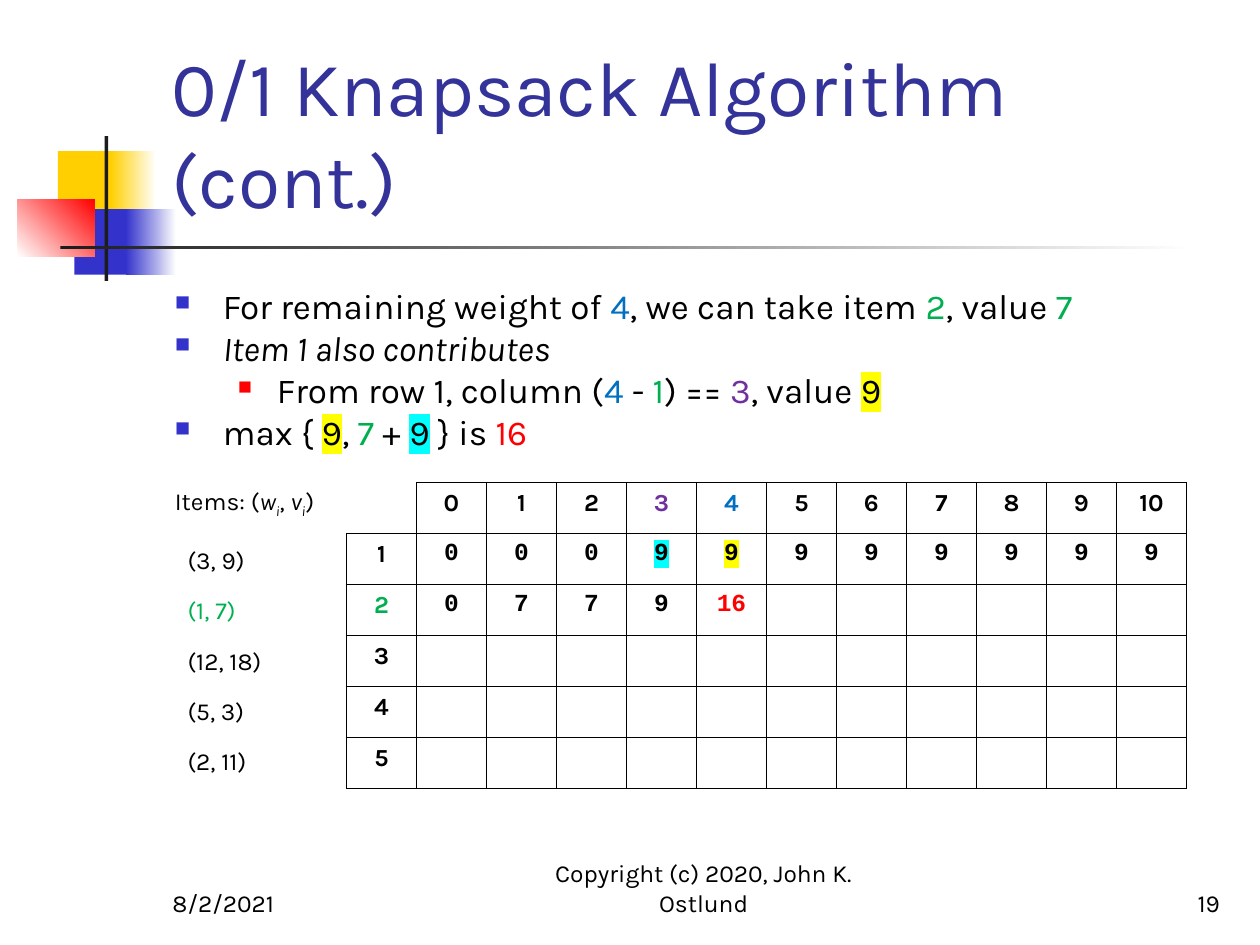
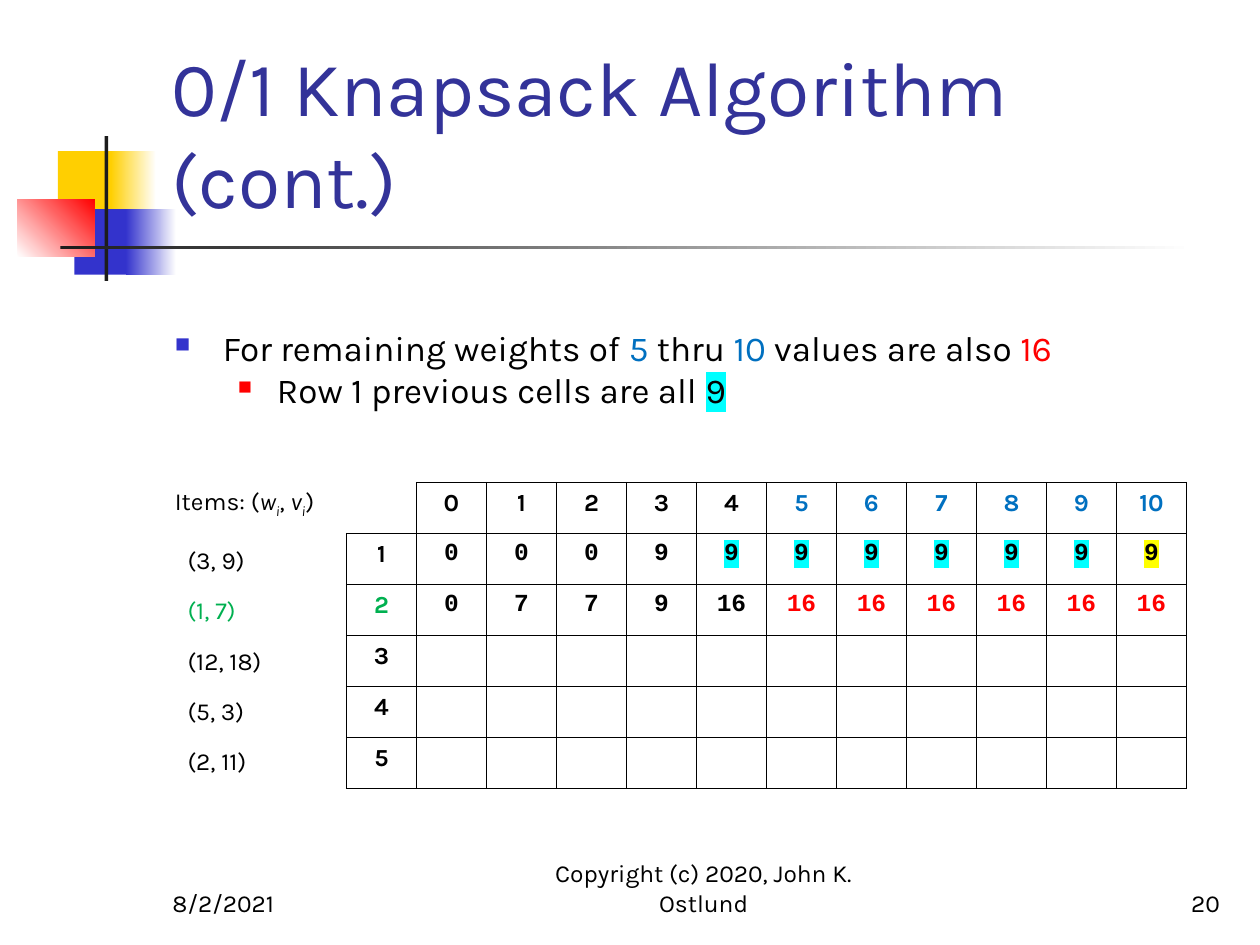
from lxml import etree
from pptx import Presentation
from pptx import util as u
from pptx.dml.color import RGBColor
from pptx.enum import shapes, text
from pptx.oxml import ns

FONT, CODE_FONT = "Karla", "Courier New"
BLACK, WHITE, CHARCOAL = "000000", "FFFFFF", "1C1C1C"
GOLD, INDIGO, RED, TITLE_BLUE = "FFCF01", "3333CC", "FF0000", "333399"
STYLES = {
    "blue": {"color": "0070C0"},
    "green": {"color": "00B050"},
    "purple": {"color": "7030A0"},
    "red": {"color": RED},
    "italic": {"italic": True},
    "sub": {"italic": True, "baseline": -25},
    "yellow": {"mark": "FFFF00"},
    "cyan": {"mark": "00FFFF"},
}
# Bullet levels: left margin and hang in inches, colour, size in percent
BULLETS = [(0.38, 0.38, INDIGO, 60), (0.81, 0.31, RED, 55)]
ITEMS = ["(3, 9)", "(1, 7)", "(12, 18)", "(5, 3)", "(2, 11)"]
CURRENT_ITEM = 2
CAPACITY = 10
LEFT, CENTER, RIGHT = text.PP_ALIGN.LEFT, text.PP_ALIGN.CENTER, text.PP_ALIGN.RIGHT
BOTTOM = text.MSO_ANCHOR.BOTTOM


def rgb(code):
    return RGBColor.from_string(code)


def add_xml(parent, tag, **attributes):
    values = {name: str(value) for name, value in attributes.items()}
    return etree.SubElement(parent, ns.qn(tag), values)


def add_span(para, words, size=14, color=BLACK, font=FONT, bold=False,
             italic=False, baseline=0, mark=None):
    """Append formatted words; baseline is in percent, mark is a highlight colour."""
    span = para.add_run()
    span.text = words
    style = span.font
    style.size, style.name = u.Pt(size), font
    style.bold, style.italic = bold, italic
    style.color.rgb = rgb(color)
    properties = span._r.get_or_add_rPr()
    if baseline:
        properties.set("baseline", str(baseline * 1000))
    if mark:
        highlight = add_xml(properties, "a:highlight")
        add_xml(highlight, "a:srgbClr", val=mark)
        properties.find(ns.qn("a:solidFill")).addnext(highlight)


def add_spans(para, spans, **base):
    """Append plain strings and (words, style name) pairs."""
    for entry in spans:
        words, style = (entry, None) if isinstance(entry, str) else entry
        add_span(para, words, **{**base, **STYLES.get(style, {})})


def indent(para, margin, hang=0):
    properties = para._p.get_or_add_pPr()
    properties.set("marL", str(u.Inches(margin)))
    properties.set("indent", str(-u.Inches(hang)))
    return properties


def add_bullet(para, level):
    margin, hang, color, percent = BULLETS[level]
    properties = indent(para, margin, hang)
    add_xml(add_xml(properties, "a:buClr"), "a:srgbClr", val=color)
    add_xml(properties, "a:buSzPct", val=percent * 1000)
    add_xml(properties, "a:buFont", typeface="Wingdings")
    add_xml(properties, "a:buChar", char="n")


def set_borders(cell, sides):
    """Draw the listed sides in black and hide the others."""
    properties = cell._tc.get_or_add_tcPr()
    for place, side in enumerate("LRTB"):
        line = add_xml(properties, f"a:ln{side}", w=u.Pt(1))
        if side in sides:
            add_xml(add_xml(line, "a:solidFill"), "a:srgbClr", val=BLACK)
        else:
            add_xml(line, "a:noFill")
        properties.insert(place, line)


class KnapsackDeck:
    """Places elements on a grid of 100 columns by 75 rows."""

    def __init__(self):
        self.deck = Presentation()
        self.deck.slide_width, self.deck.slide_height = u.Inches(10), u.Inches(7.5)
        self.column = self.deck.slide_width / 100
        self.row = self.deck.slide_height / 75
        self.page = None

    def place(self, left, top, width, height):
        return (round(left * self.column), round(top * self.row),
                round(width * self.column), round(height * self.row))

    def block(self, area, start, end=None, angle=0):
        """Add a rectangle, solid or fading from start to end."""
        box = self.page.shapes.add_shape(
            shapes.MSO_SHAPE.RECTANGLE, *self.place(*area))
        box.shadow.inherit = False
        box.line.fill.background()
        if end is None:
            box.fill.solid()
            box.fill.fore_color.rgb = rgb(start)
            return
        box.fill.gradient()
        box.fill.gradient_angle = angle
        for stop, color in zip(box.fill.gradient_stops, (start, end)):
            stop.color.rgb = rgb(color)

    def text_box(self, area, anchor=text.MSO_ANCHOR.TOP):
        frame = self.page.shapes.add_textbox(*self.place(*area)).text_frame
        frame.word_wrap = True
        frame.vertical_anchor = anchor
        return frame

    def label(self, area, words, align=LEFT, **style):
        para = self.text_box(area, BOTTOM).paragraphs[0]
        para.alignment = align
        add_span(para, words, **style)

    def decoration(self):
        self.block((4.6, 12, 4.8, 5.2), GOLD)
        self.block((8.8, 12, 3.6, 5.2), GOLD, WHITE)
        self.block((5.9, 16.6, 4.6, 5.2), INDIGO)
        self.block((10, 16.6, 4, 5.2), INDIGO, WHITE)
        self.block((1.4, 15.8, 6.1, 4.6), WHITE, RED, angle=45)
        self.block((8.3, 10.8, 0.3, 11.5), CHARCOAL)
        self.block((4.8, 19.5, 90, 0.3), CHARCOAL, WHITE)

    def body(self, bullets, top, gap):
        """Write the bullets, then the item list after a gap in points."""
        frame = self.text_box((12.9, top, 85, 67.1 - top))
        for number, (level, spans) in enumerate(bullets):
            para = frame.add_paragraph() if number else frame.paragraphs[0]
            add_bullet(para, level)
            add_spans(para, spans, size=20)
        heading = frame.add_paragraph()
        heading.space_before = u.Pt(gap)
        add_spans(heading, ["Items: (", ("w", "italic"), ("i", "sub"), ", ",
                            ("v", "italic"), ("i", "sub"), ")"])
        for number, item in enumerate(ITEMS, 1):
            para = frame.add_paragraph()
            indent(para, 0.1)
            para.space_before = u.Pt(14.4 if number == 1 else 12)
            add_spans(para, [(item, "green" if number == CURRENT_ITEM else None)])

    def value_table(self, values, marks):
        """Show best values by item and weight; marks maps (row, column) to a style."""
        rows = [["", *range(CAPACITY + 1)]]
        for number in range(1, len(ITEMS) + 1):
            known = values[number - 1] if number <= len(values) else []
            rows.append([number, *known])
        columns = CAPACITY + 2
        table = self.page.shapes.add_table(
            len(rows), columns, *self.place(27.5, 38.3, 66.7, 24.3)).table
        table.first_row = table.horz_banding = False
        marks = {(CURRENT_ITEM, 0): "green", **marks}
        for r, entries in enumerate(rows):
            for c in range(columns):
                cell = table.cell(r, c)
                cell.fill.background()
                set_borders(cell, "LRTB" if r or c else "RB")
                if c >= len(entries) or entries[c] == "":
                    continue
                para = cell.text_frame.paragraphs[0]
                para.alignment = CENTER
                add_spans(para, [(str(entries[c]), marks.get((r, c)))], bold=True,
                          font=CODE_FONT if r and c else FONT)

    def slide(self, number, bullets, values, marks, top=22.1, gap=19.2):
        self.page = self.deck.slides.add_slide(self.deck.slide_layouts[6])
        self.decoration()
        self.label((12.6, 2.3, 85.2, 16), "0/1 Knapsack Algorithm (cont.)",
                   size=44, color=TITLE_BLUE)
        self.body(bullets, top, gap)
        self.value_table(values, marks)
        self.label((12.7, 68.3, 20.8, 5), "8/2/2021")
        self.label((40, 68.3, 31.7, 5), "Copyright (c) 2020, John K. Ostlund", CENTER)
        self.label((77, 68.3, 20.8, 5), str(number), RIGHT)


def main():
    show = KnapsackDeck()
    first_item = [0] * 3 + [9] * 8
    second_item = [0, 7, 7, 9] + [16] * 7

    show.slide(19, [
        (0, ["For remaining weight of ", ("4", "blue"), ", we can take item ",
             ("2", "green"), ", value ", ("7", "green")]),
        (0, [("Item 1 also contributes", "italic")]),
        (1, ["From row 1, column (", ("4", "blue"), " - ", ("1", "green"), ") == ",
             ("3", "purple"), ", value ", ("9", "yellow")]),
        (0, ["max { ", ("9", "yellow"), ", ", ("7", "green"), " + ", ("9", "cyan"),
             " } is ", ("16", "red")]),
    ], [first_item, second_item[:5]], {
        (0, 4): "purple", (0, 5): "blue", (1, 4): "cyan", (1, 5): "yellow",
        (2, 5): "red",
    })

    new_columns = range(6, 12)
    show.slide(20, [
        (0, ["For remaining weights of ", ("5", "blue"), " thru ", ("10", "blue"),
             " values are also ", ("16", "red")]),
        (1, ["Row 1 previous cells are all ", ("9", "cyan")]),
    ], [first_item, second_item], {
        **{(0, c): "blue" for c in new_columns},
        **{(1, c - 1): "cyan" for c in new_columns},
        (1, 11): "yellow",
        **{(2, c): "red" for c in new_columns},
    }, top=25.43, gap=43.2)

    show.deck.save("out.pptx")


if __name__ == "__main__":
    main()
